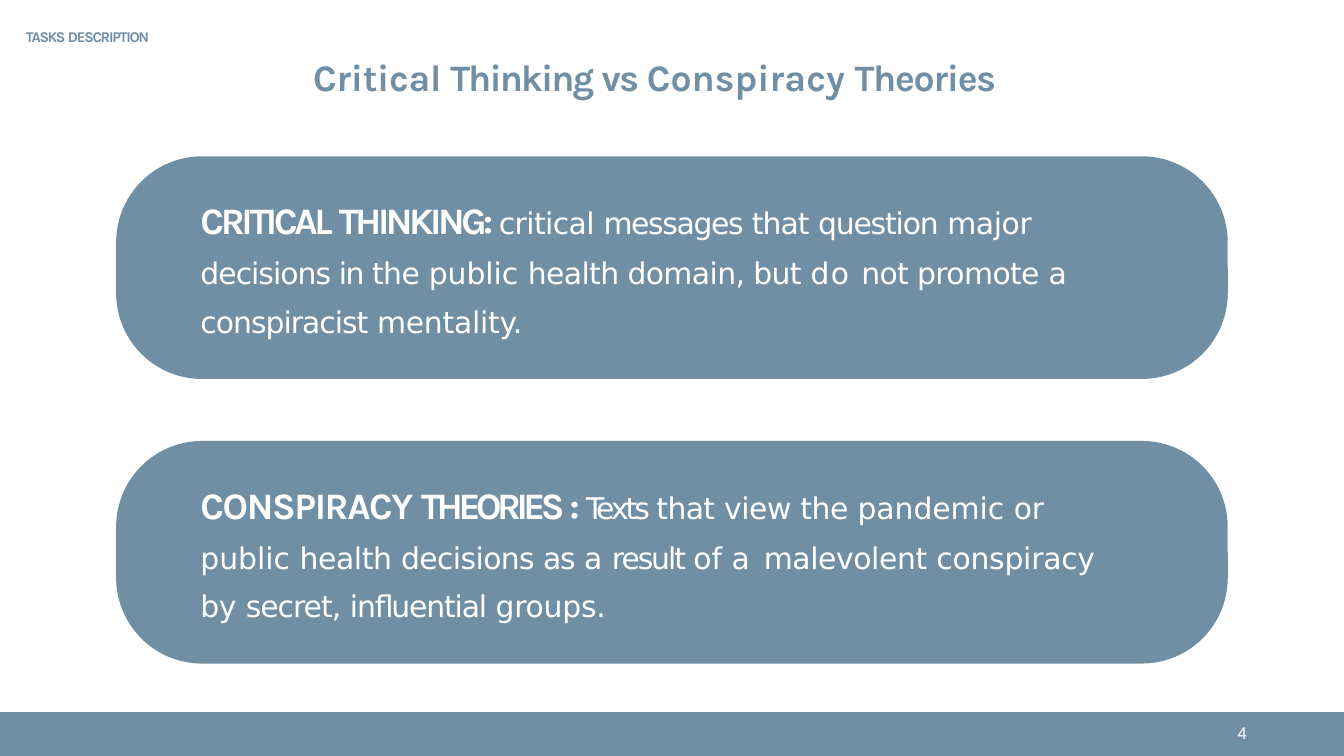
from dataclasses import dataclass

import pptx
import pptx.dml.color
import pptx.enum.shapes
import pptx.enum.text
import pptx.util

Cm = pptx.util.Cm
Pt = pptx.util.Pt


@dataclass(frozen=True)
class Theme:
    accent: pptx.dml.color.RGBColor = pptx.dml.color.RGBColor(0x71, 0x8F, 0xA4)
    light: pptx.dml.color.RGBColor = pptx.dml.color.RGBColor(0xFF, 0xFF, 0xFF)
    heading_font: str = "Karla"
    body_font: str = "DejaVu Sans"
    number_font: str = "Arial"
    heading_size: float = 20
    body_size: float = 16
    number_size: float = 9
    label_size: float = 8


@dataclass(frozen=True)
class Box:
    left: float
    top: float
    width: float
    height: float

    def lengths(self) -> tuple:
        return tuple(Cm(v) for v in (self.left, self.top, self.width, self.height))


@dataclass(frozen=True)
class Piece:
    """A stretch of text with its letter spacing in points."""
    text: str
    spacing: float


@dataclass(frozen=True)
class Definition:
    term: list[Piece]
    meaning: list[Piece]
    text_width: float


THEME = Theme()
CARD = Box(2.21, 2.97, 20.98, 4.18)
CARD_PITCH = 5.38
CARD_CORNER = 0.385

TITLE = [Piece("Critical ", -0.2), Piece("Thinking ", -1.1), Piece("vs ", -0.9),
         Piece("Conspiracy ", 0), Piece("Theories", -0.7)]
SECTION = [Piece("TASKS ", -0.8), Piece("DESCRIPTION", -0.7)]
DEFINITIONS = [
    Definition(
        [Piece("CRITICAL ", -1.8), Piece("THINKING: ", -1.9)],
        [Piece("critical ", -0.3), Piece("messages ", -0.7), Piece("that ", -0.5),
         Piece("question ", -0.6), Piece("major ", -0.2), Piece("decisions", -0.5),
         Piece(" in ", -0.9), Piece("the ", -0.3), Piece("public ", 0),
         Piece("health domain, but ", -0.3), Piece("do ", 0.7),
         Piece("not promote ", -0.3), Piece("a ", 0.8),
         Piece("conspiracist ", -0.5), Piece("mentality.", -0.1)],
        16.84),
    Definition(
        [Piece("CONSPIRACY ", -0.8), Piece("THEORIES ", -2.4), Piece(": ", -1.7)],
        [Piece("Texts ", -1.6), Piece("that ", -0.3), Piece("view the ", -0.2),
         Piece("pandemic ", 0), Piece("or ", -0.2), Piece("public ", 0),
         Piece("health ", -0.2), Piece("decisions", -0.3), Piece(" as ", -0.6),
         Piece("a", 1.2), Piece(" result ", -1.1), Piece("of ", 0),
         Piece("a ", 1.2), Piece("malevolent ", -0.2), Piece("conspiracy ", -0.1),
         Piece("by ", -0.2), Piece("secret, ", -0.5), Piece("influential ", -0.6),
         Piece("groups.", -0.1)],
        17.68),
]


def set_font(font, name: str, size: float, bold: bool) -> None:
    font.name = name
    font.size = Pt(size)
    font.bold = bold


def add_paragraph_box(slide, box: Box, inset_left: float, inset_top: float):
    """Add an empty wrapping text box and return its paragraph."""
    frame = slide.shapes.add_textbox(*box.lengths()).text_frame
    frame.word_wrap = True
    frame.vertical_anchor = pptx.enum.text.MSO_ANCHOR.TOP
    frame.margin_left, frame.margin_top = Cm(inset_left), Cm(inset_top)
    frame.margin_right = frame.margin_bottom = 0
    return frame.paragraphs[0]


def add_pieces(paragraph, pieces: list[Piece]) -> list:
    runs = []
    for piece in pieces:
        run = paragraph.add_run()
        run.text = piece.text
        run._r.get_or_add_rPr().set("spc", str(round(piece.spacing * 100)))
        runs.append(run)
    return runs


def add_line(slide, box: Box, pieces: list[Piece], font: str, size: float,
             bold: bool, color, inset_left: float, inset_top: float) -> None:
    """Add a text box whose runs differ only in letter spacing."""
    paragraph = add_paragraph_box(slide, box, inset_left, inset_top)
    add_pieces(paragraph, pieces)
    set_font(paragraph.font, font, size, bold)
    paragraph.font.color.rgb = color


def add_panel(slide, kind, box: Box):
    panel = slide.shapes.add_shape(kind, *box.lengths())
    panel.shadow.inherit = False
    panel.fill.solid()
    panel.fill.fore_color.rgb = THEME.accent
    panel.line.fill.background()
    return panel


def add_definition(slide, definition: Definition, top: float) -> None:
    card = add_panel(slide, pptx.enum.shapes.MSO_SHAPE.ROUNDED_RECTANGLE,
                     Box(CARD.left, top, CARD.width, CARD.height))
    card.adjustments[0] = CARD_CORNER
    card.line.color.rgb = THEME.accent
    card.line.width = Pt(0.83)

    text_box = Box(CARD.left + 1.55, top + 0.37, definition.text_width, 3.1)
    paragraph = add_paragraph_box(slide, text_box, 0.03, 0.1)
    paragraph.line_spacing = 1.35
    for run in add_pieces(paragraph, definition.term):
        set_font(run.font, THEME.heading_font, THEME.heading_size, True)
    for run in add_pieces(paragraph, definition.meaning):
        set_font(run.font, THEME.body_font, THEME.body_size, False)
    paragraph.font.color.rgb = THEME.light


def main() -> None:
    deck = pptx.Presentation()
    deck.slide_width, deck.slide_height = Cm(25.4), Cm(14.29)
    slide = deck.slides.add_slide(deck.slide_layouts[6])

    add_panel(slide, pptx.enum.shapes.MSO_SHAPE.RECTANGLE, Box(0, 13.46, 25.4, 0.83))
    add_line(slide, Box(5.89, 0.97, 13.46, 0.91), TITLE, THEME.heading_font,
             THEME.heading_size, True, THEME.accent, 0.03, 0.06)
    for index, definition in enumerate(DEFINITIONS):
        add_definition(slide, definition, CARD.top + index * CARD_PITCH)
    add_line(slide, Box(23.29, 13.67, 0.51, 0.43), [Piece("4", -0.2)],
             THEME.number_font, THEME.number_size, False, THEME.light, 0.1, 0)
    add_line(slide, Box(0.46, 0.46, 2.72, 0.41), SECTION, THEME.heading_font,
             THEME.label_size, True, THEME.accent, 0.03, 0.06)

    deck.save("out.pptx")


if __name__ == "__main__":
    main()
